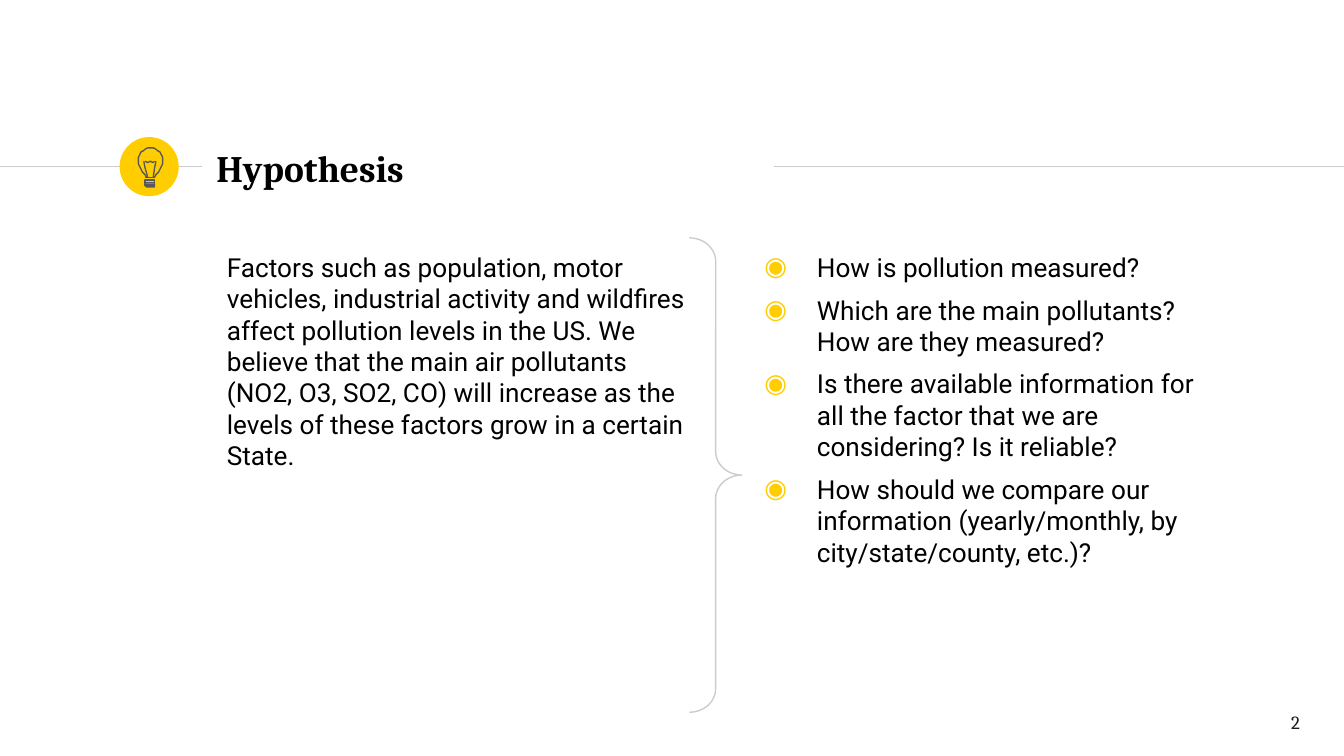
from lxml.etree import SubElement
from pptx import Presentation
from pptx.dml.color import RGBColor
from pptx.enum.shapes import MSO_CONNECTOR, MSO_SHAPE
from pptx.enum.text import MSO_ANCHOR, MSO_AUTO_SIZE, PP_ALIGN
from pptx.oxml.ns import qn
from pptx.util import Inches, Pt

BLACK = RGBColor(0x00, 0x00, 0x00)
INK = RGBColor(0x1D, 0x1D, 0x1B)
GRAY = RGBColor(0xCC, 0xCC, 0xCC)
DARK_GRAY = RGBColor(0x59, 0x59, 0x59)
YELLOW = RGBColor(0xFF, 0xCD, 0x00)

HYPOTHESIS = (
    "Factors such as population, motor vehicles, industrial activity and wildfires "
    "affect pollution levels in the US. We believe that the main air pollutants "
    "(NO2, O3, SO2, CO) will increase as the levels of these factors grow in a certain State."
)
QUESTIONS = [
    "How is pollution measured?",
    "Which are the main pollutants? How are they measured?",
    "Is there available information for all the factor that we are considering? Is it reliable?",
    "How should we compare our information (yearly/monthly, by city/state/county, etc.)?",
]

SLIDE_WIDTH = 10
SLIDE_HEIGHT = SLIDE_WIDTH * 9 / 16
RULE_TOP = 1.24
COLUMN_TOP, COLUMN_WIDTH, COLUMN_HEIGHT = 1.77, 3.75, 3.53
BULB_CENTER = 1.12
BULB_HALF = [
    (0.03, 1.32), (0.04, 1.3), (0.06, 1.28), (0.07, 1.26), (0.08, 1.24),
    (0.09, 1.22), (0.09, 1.19), (0.09, 1.17), (0.08, 1.15), (0.07, 1.13),
    (0.05, 1.12), (0.04, 1.11), (0.02, 1.1),
]


class SlideBuilder:
    heading_font = "Cambria"
    body_font = "Roboto"
    line_width = Pt(0.75)

    def __init__(self, slide):
        self.slide = slide

    def style_line(self, line, color):
        line.color.rgb = color
        line.width = self.line_width

    def rule(self, left, right):
        connector = self.slide.shapes.add_connector(
            MSO_CONNECTOR.STRAIGHT,
            Inches(left), Inches(RULE_TOP), Inches(right), Inches(RULE_TOP),
        )
        self.style_line(connector.line, GRAY)
        SubElement(connector._element.spPr, qn("a:effectLst"))

    def disc(self, left, top, size):
        shape = self.slide.shapes.add_shape(
            MSO_SHAPE.OVAL, Inches(left), Inches(top), Inches(size), Inches(size)
        )
        shape.shadow.inherit = False
        shape.fill.solid()
        shape.fill.fore_color.rgb = YELLOW
        shape.line.fill.background()

    def brace(self, left, top, width, height):
        shape = self.slide.shapes.add_shape(
            MSO_SHAPE.RIGHT_BRACE, Inches(left), Inches(top), Inches(width), Inches(height)
        )
        shape.shadow.inherit = False
        shape.adjustments[0] = 0.45
        shape.adjustments[1] = 0.5
        shape.fill.background()
        self.style_line(shape.line, GRAY)

    def stroke(self, points, close=False):
        corners = [(Inches(x), Inches(y)) for x, y in points]
        builder = self.slide.shapes.build_freeform(*corners[0])
        builder.add_line_segments(corners[1:], close=close)
        shape = builder.convert_to_shape()
        shape.shadow.inherit = False
        shape.fill.background()
        self.style_line(shape.line, DARK_GRAY)

    def frame(self, shape, box, anchor=MSO_ANCHOR.TOP):
        shape.left, shape.top, shape.width, shape.height = map(Inches, box)
        frame = shape.text_frame
        frame.auto_size = MSO_AUTO_SIZE.NONE
        frame.word_wrap = True
        frame.vertical_anchor = anchor
        frame.margin_left = frame.margin_right = Inches(0.1)
        frame.margin_top = frame.margin_bottom = Inches(0.1)
        return frame

    def text_box(self, box):
        return self.frame(self.slide.shapes.add_textbox(*map(Inches, box)), box)

    def run(self, paragraph, text, font, size, color, bold=False):
        run = paragraph.add_run()
        run.text = text
        run.font.name = font
        run.font.size = Pt(size)
        run.font.color.rgb = color
        run.font.bold = bold

    def title(self, text, box):
        paragraph = self.frame(self.slide.shapes.title, box, MSO_ANCHOR.MIDDLE).paragraphs[0]
        paragraph.alignment = PP_ALIGN.LEFT
        self.run(paragraph, text, self.heading_font, 20, BLACK, True)

    def column(self, left, texts, margin, indent=0, bullet=None):
        frame = self.text_box((left, COLUMN_TOP, COLUMN_WIDTH, COLUMN_HEIGHT))
        for index, text in enumerate(texts):
            paragraph = frame.add_paragraph() if index else frame.paragraphs[0]
            paragraph.space_before = Pt(6)
            properties = paragraph._p.get_or_add_pPr()
            properties.set("marL", str(Inches(margin)))
            properties.set("indent", str(Inches(indent)))
            if bullet:
                color = SubElement(properties, qn("a:buClr"))
                SubElement(color, qn("a:srgbClr"), val=str(YELLOW))
                SubElement(properties, qn("a:buFont"), typeface=self.body_font)
                SubElement(properties, qn("a:buChar"), char=bullet)
            self.run(paragraph, text, self.body_font, 14, BLACK)

    def page_number(self, text, box):
        paragraph = self.text_box(box).paragraphs[0]
        paragraph.alignment = PP_ALIGN.CENTER
        self.run(paragraph, text, self.heading_font, 10, INK)

    def light_bulb(self):
        for top in (1.36, 1.34):
            self.stroke([(1.15, top + 0.02), (1.15, top), (1.08, top), (1.08, top + 0.02)], True)
        self.stroke(
            [(1.08, 1.37), (1.08, 1.38), (1.09, 1.39), (1.15, 1.39), (1.15, 1.37)], True
        )
        right = [(BULB_CENTER + x, y) for x, y in BULB_HALF]
        left = [(BULB_CENTER - x, y) for x, y in reversed(BULB_HALF)]
        self.stroke(right + left)
        self.stroke([(1.1, 1.32), (1.08, 1.25), (1.07, 1.2)])
        self.stroke([(1.16, 1.2), (1.15, 1.25), (1.14, 1.32)])
        self.stroke([(1.08, 1.2), (1.1, 1.21), (1.12, 1.2), (1.14, 1.21), (1.15, 1.2)])
        self.stroke([(1.08, 1.32), (1.15, 1.32)])


def main():
    presentation = Presentation()
    presentation.slide_width = Inches(SLIDE_WIDTH)
    presentation.slide_height = Inches(SLIDE_HEIGHT)
    builder = SlideBuilder(presentation.slides.add_slide(presentation.slide_layouts[5]))

    builder.rule(0, 1.5)
    builder.disc(0.89, 1.02, 0.44)
    builder.rule(5.76, SLIDE_WIDTH)
    builder.title("Hypothesis", (1.51, 1.01, 4.24, 0.48))
    builder.column(1.51, [HYPOTHESIS], 0.08)
    builder.column(5.48, QUESTIONS, 0.5, -0.39, "◉")
    builder.page_number("2", (9.34, 5.19, 0.6, 0.43))
    builder.light_bulb()
    builder.brace(5.13, COLUMN_TOP, 0.39, COLUMN_HEIGHT)

    presentation.save("out.pptx")


if __name__ == "__main__":
    main()
